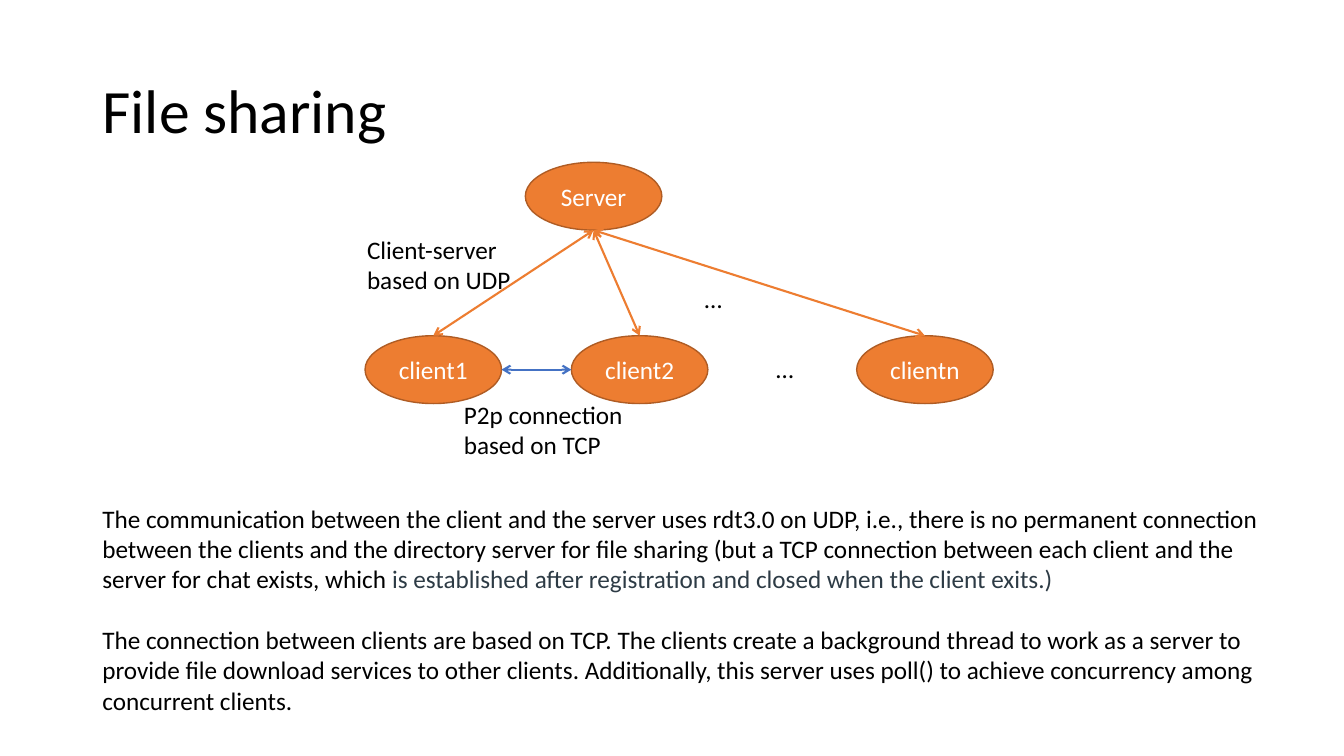
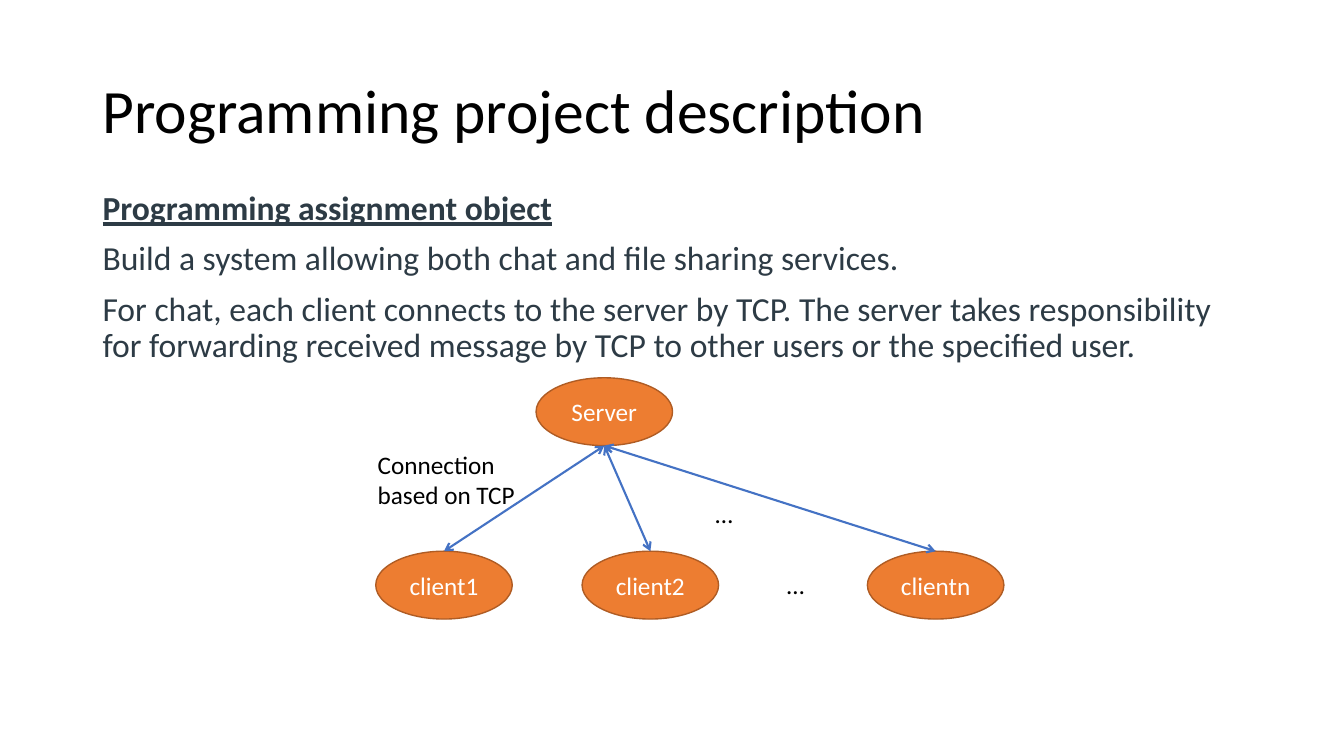
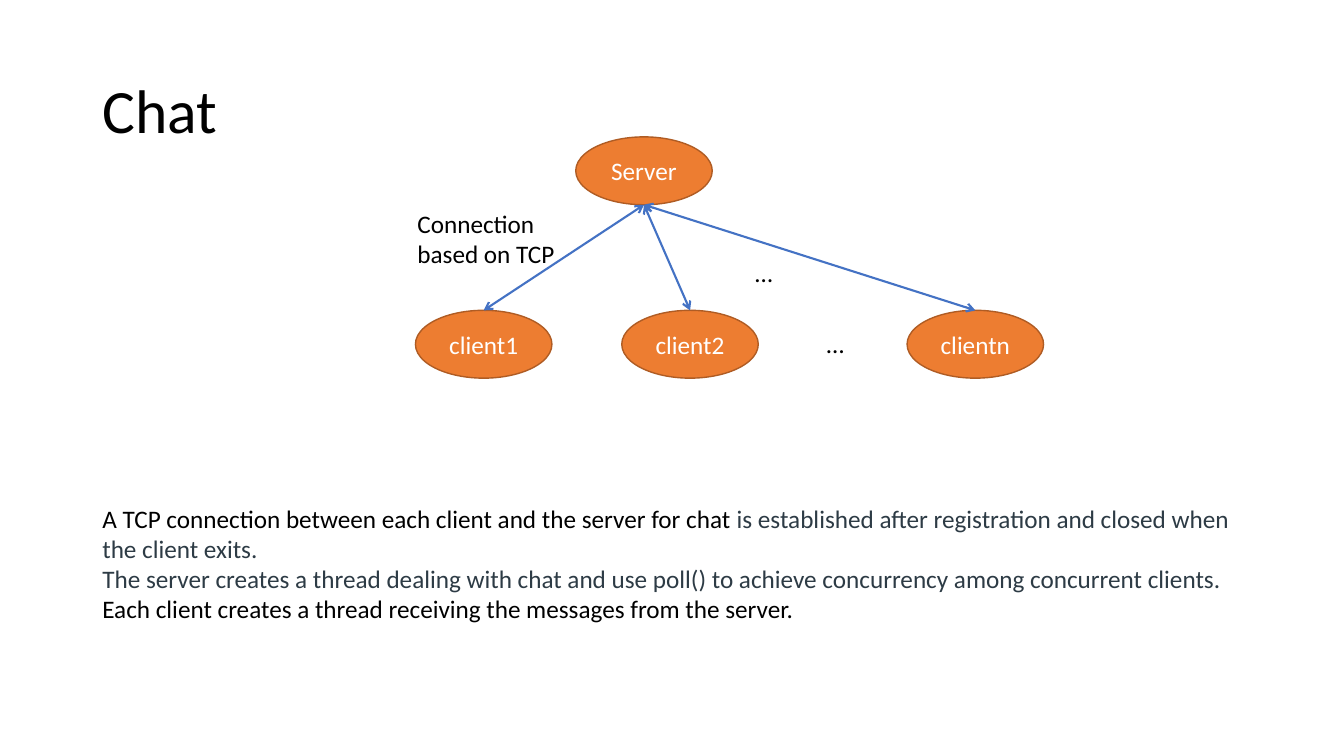
import pptx
import pptx.util
import pptx.dml.color
import pptx.enum.shapes
import pptx.enum.text
import pptx.oxml.ns
from lxml import etree

Cm = pptx.util.Cm
Pt = pptx.util.Pt
RGBColor = pptx.dml.color.RGBColor
Align = pptx.enum.text.PP_ALIGN
Anchor = pptx.enum.text.MSO_ANCHOR
Fit = pptx.enum.text.MSO_AUTO_SIZE
qn = pptx.oxml.ns.qn

BLACK = RGBColor(0x00, 0x00, 0x00)
WHITE = RGBColor(0xFF, 0xFF, 0xFF)
SLATE = RGBColor(0x2D, 0x3B, 0x45)
ORANGE = RGBColor(0xED, 0x7D, 0x31)
RUST = RGBColor(0xAF, 0x5C, 0x24)
BLUE = RGBColor(0x44, 0x72, 0xC4)
FONT = "Calibri"

EDGE = 2.33
OVAL = (3.44, 1.71)
DROP = 4.37
TOP, LEFT, BASE, RIGHT = range(4)


def put(frame, text, size=18, ink=BLACK, bold=False, under=False,
        align=Align.LEFT, gap=0, lead=1.0, join=False):
    para = frame.paragraphs[-1]
    if para.runs and not join:
        para = frame.add_paragraph()
    if not join:
        para.alignment = align
        para.line_spacing = lead
        para.space_before = Pt(gap)
    run = para.add_run()
    run.text = text
    font = run.font
    font.name, font.size, font.bold = FONT, Pt(size), bold
    font.underline = under
    font.color.rgb = ink
    return para


def place(shape, left, top, width, height):
    shape.left, shape.top = Cm(left), Cm(top)
    shape.width, shape.height = Cm(width), Cm(height)


def head(slide, text):
    title = slide.shapes.title
    place(title, EDGE, 1.01, 29.21, 3.68)
    frame = title.text_frame
    frame.vertical_anchor = Anchor.MIDDLE
    frame.auto_size = Fit.NONE
    put(frame, text, size=44, lead=0.9)


def body(slide, lines):
    holder = slide.placeholders[1]
    place(holder, EDGE, 4.7, 29.62, 12.09)
    frame = holder.text_frame
    frame.auto_size = Fit.NONE
    for i, text in enumerate(lines):
        first = i == 0
        para = put(frame, text, size=24, ink=SLATE, bold=first, under=first,
                   gap=0 if first else 10, lead=0.9)
        props = para._p.get_or_add_pPr()
        props.set("marL", "0")
        props.set("indent", "0")
        etree.SubElement(props, qn("a:buNone"))


def note(slide, left, top, width, height):
    frame = slide.shapes.add_textbox(
        Cm(left), Cm(top), Cm(width), Cm(height)).text_frame
    frame.word_wrap = True
    frame.auto_size = Fit.SHAPE_TO_FIT_TEXT
    return frame


def node(slide, text, left, top):
    oval = slide.shapes.add_shape(
        pptx.enum.shapes.MSO_SHAPE.OVAL, Cm(left), Cm(top),
        *map(Cm, OVAL))
    oval.shadow.inherit = False
    oval.fill.solid()
    oval.fill.fore_color.rgb = ORANGE
    oval.line.color.rgb = RUST
    oval.line.width = Pt(1)
    oval.text_frame.vertical_anchor = Anchor.MIDDLE
    put(oval.text_frame, text, ink=WHITE, align=Align.CENTER)
    return oval


def link(slide, start, side, end, face, ink):
    line = slide.shapes.add_connector(
        pptx.enum.shapes.MSO_CONNECTOR.STRAIGHT, 0, 0, 0, 0)
    line.begin_connect(start, side)
    line.end_connect(end, face)
    # An ellipse has eight sites, so each side's middle is every second one.
    ends = line._element.nvCxnSpPr.cNvCxnSpPr
    ends.find(qn("a:stCxn")).set("idx", str(2 * side))
    ends.find(qn("a:endCxn")).set("idx", str(2 * face))
    line.line.color.rgb = ink
    line.line.width = Pt(1.5)
    stroke = line.line._get_or_add_ln()
    for tag in ("a:headEnd", "a:tailEnd"):
        etree.SubElement(stroke, qn(tag), type="arrow")
    etree.SubElement(line._element.spPr, qn("a:effectLst"))


def graph(slide, left, top, label, ink=BLUE, peer=None):
    hub = node(slide, "Server", left + 4.04, top)
    row = [node(slide, text, left + x, top + DROP)
           for text, x in (("client1", 0), ("client2", 5.2),
                           ("clientn", 12.39))]
    for leaf in row:
        link(slide, hub, BASE, leaf, TOP, ink)
    for x, y in ((10.11, 4.7), (8.31, 2.92)):
        put(note(slide, left + x, top + y, 2.08, 1.02), "…")
    put(note(slide, left - 0.2, top + 1.68, 4.57, 1.8), label)
    if peer:
        link(slide, row[0], RIGHT, row[1], LEFT, BLUE)
        put(note(slide, left + 2.24, top + 5.84, 4.93, 1.8), peer)


def share(slide):
    head(slide, "File sharing")
    text = note(slide, EDGE, 12.55, 29.81, 5.64)
    put(text, "The communication between the client and the server uses "
        "rdt3.0 on UDP, i.e., there is no permanent connection between the "
        "clients and the directory server for file sharing (but a TCP "
        "connection between each client and the server for chat exists, "
        "which ")
    put(text, "is established after registration and closed when the client "
        "exits.)", ink=SLATE, join=True)
    put(text, "The connection between clients are based on TCP. The clients "
        "create a background thread to work as a server to provide file "
        "download services to other clients. Additionally, this server uses "
        "poll() to achieve concurrency among concurrent clients.", gap=22)
    graph(slide, 9.2, 4.09, "Client-server based on UDP", ink=ORANGE,
          peer="P2p connection based on TCP")


def brief(slide):
    head(slide, "Programming project description")
    body(slide, (
        "Programming assignment object",
        "Build a system allowing both chat and file sharing services.",
        "For chat, each client connects to the server by TCP. The server "
        "takes responsibility for forwarding received message by TCP to "
        "other users or the specified user."))
    graph(slide, 9.47, 9.52, "Connection based on TCP")


def chat(slide):
    head(slide, "Chat")
    text = note(slide, EDGE, 12.55, 29.81, 4.11)
    put(text, "A TCP connection between each client and the server for chat ")
    put(text, "is established after registration and closed when the client "
        "exits.", ink=SLATE, join=True)
    put(text, "The server creates a thread dealing with chat and use poll() "
        "to achieve concurrency among concurrent clients.", ink=SLATE)
    put(text, "Each client creates a thread receiving the messages from the "
        "server.")
    graph(slide, 10.47, 3.45, "Connection based on TCP")


def main():
    deck = pptx.Presentation()
    deck.slide_width, deck.slide_height = Cm(33.87), Cm(19.05)
    for build, kind in ((share, 5), (brief, 1), (chat, 5)):
        build(deck.slides.add_slide(deck.slide_layouts[kind]))
    deck.save("out.pptx")


if __name__ == "__main__":
    main()
